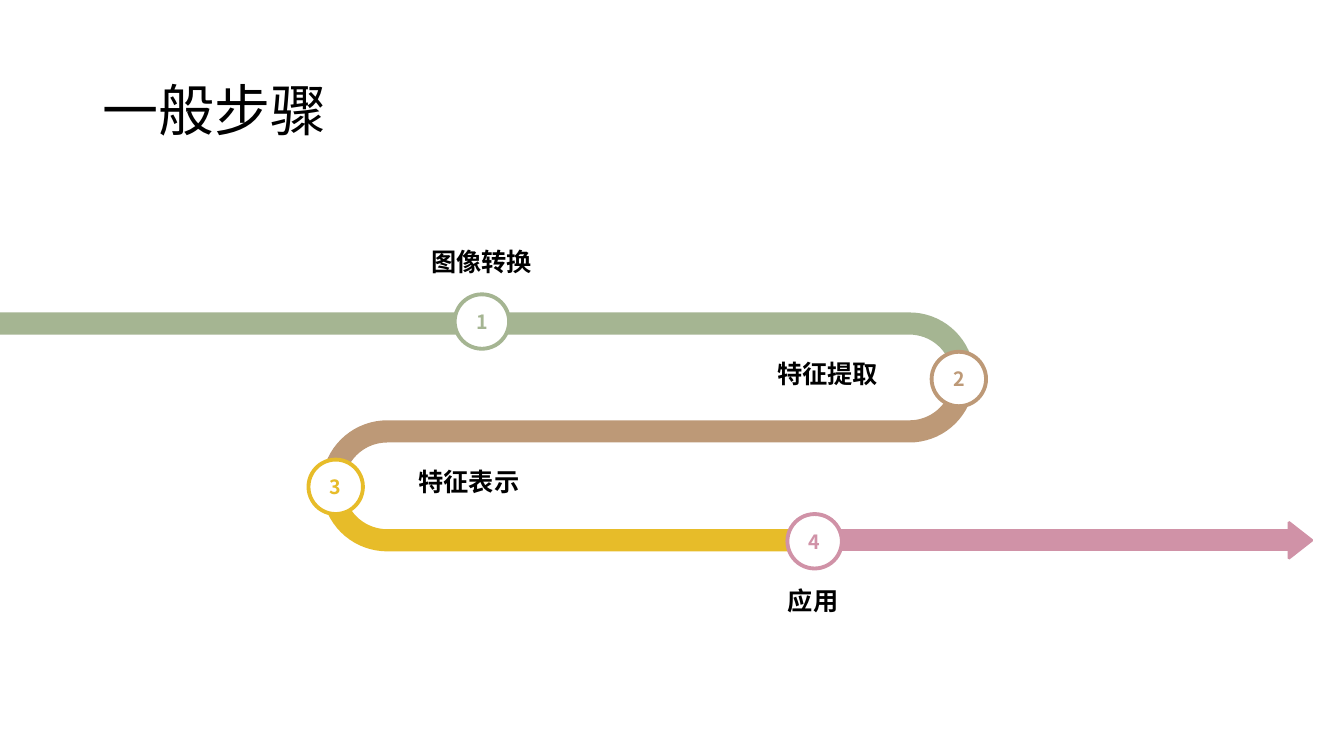
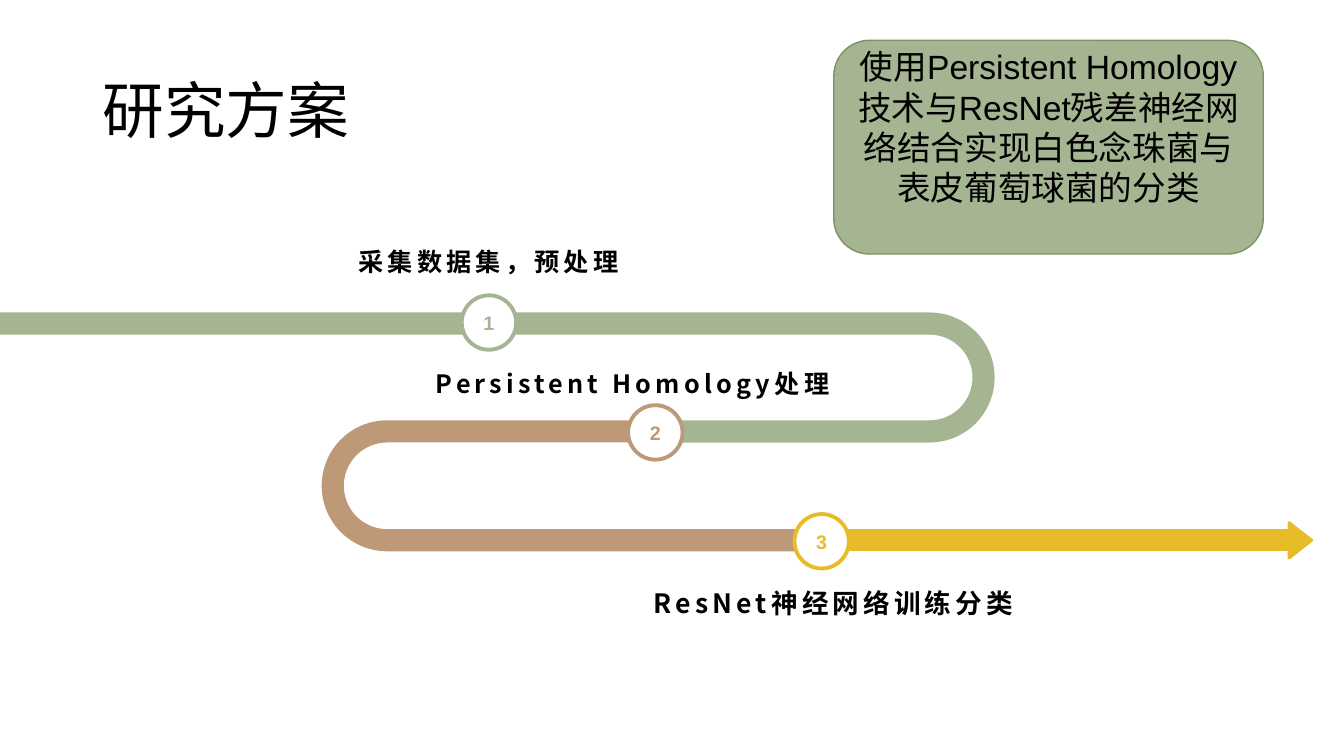
from dataclasses import dataclass
from math import cos, radians, sin

from pptx import Presentation
from pptx.dml.color import RGBColor
from pptx.enum.shapes import MSO_SHAPE
from pptx.enum.text import MSO_ANCHOR, PP_ALIGN
from pptx.util import Inches, Pt

ELLIPSE, ROUNDED = MSO_SHAPE.OVAL, MSO_SHAPE.ROUNDED_RECTANGLE
MIDDLE, BOTTOM = MSO_ANCHOR.MIDDLE, MSO_ANCHOR.BOTTOM
LEFT, CENTER = PP_ALIGN.LEFT, PP_ALIGN.CENTER

COLORS = {
    "black": "000000",
    "white": "FFFFFF",
    "green": "A5B592",
    "dark_green": "7D9263",
    "brown": "BD9977",
    "yellow": "E7BC29",
    "pink": "D092A7",
}
SANS, LATIN = "Noto Sans CJK SC", "Arial"

ROWS = (3.21, 4.28, 5.36)
HALF_BAND = 0.11
BEND_STEP = 5
LEFT_BEND = 3.84
BADGE_SIZE = 0.54
HEAD_LEFT, HEAD_TIP = 12.77, 13.02
HEAD_HALF = 0.19


@dataclass(frozen=True)
class Station:
    """A point on the middle of a band, with its heading in degrees (0 right, 90 down)."""
    x: float
    y: float
    heading: int = 0

    def offset(self, distance: float) -> tuple[float, float]:
        angle = radians(self.heading)
        return self.x + distance * sin(angle), self.y - distance * cos(angle)


@dataclass(frozen=True)
class Band:
    color: str
    stations: list[Station]


@dataclass(frozen=True)
class Badge:
    number: str
    color: str
    x: float
    y: float


@dataclass(frozen=True)
class Label:
    text: str
    area: tuple[float, float, float, float]
    anchor: MSO_ANCHOR = BOTTOM
    size: int = 18


def rgb(name: str) -> RGBColor:
    return RGBColor.from_string(COLORS[name])


def bend(x: float, row: int, start: int, end: int) -> list[Station]:
    """Stations of a turn around x, between a row and the next one."""
    turn = 1 if end > start else -1
    radius = (ROWS[row + 1] - ROWS[row]) / 2
    center = Station(x, ROWS[row] + radius)
    headings = range(start, end + turn, turn * BEND_STEP)
    return [Station(*Station(center.x, center.y, heading).offset(turn * radius), heading)
            for heading in headings]


def write(shape, text: str, *, size: int, font: str = SANS, color: str = "black",
          bold: bool = False, align: PP_ALIGN = CENTER, anchor: MSO_ANCHOR = MIDDLE,
          wrap: bool = True, tracking: int = 0, line_spacing: float | None = None,
          margin: float | None = None) -> None:
    frame = shape.text_frame
    frame.word_wrap = wrap
    frame.vertical_anchor = anchor
    if margin is not None:
        frame.margin_left = frame.margin_right = Inches(margin)
        frame.margin_top = frame.margin_bottom = Inches(margin)
    para = frame.paragraphs[0]
    para.alignment = align
    para.line_spacing = line_spacing
    span = para.add_run()
    span.text = text
    span.font.name = font
    span.font.size = Pt(size)
    span.font.bold = bold
    span.font.color.rgb = rgb(color)
    properties = span.font._element
    if tracking:
        properties.set("spc", str(tracking * 100))
    east_asian = properties.makeelement(
        properties.tag.replace("rPr", "ea"), {"typeface": SANS})
    properties.find(properties.tag.replace("rPr", "latin")).addnext(east_asian)


def add_text(page, area: tuple[float, float, float, float], text: str, **style) -> None:
    box = page.shapes.add_textbox(*map(Inches, area))
    write(box, text, **style)


def add_preset(page, kind: MSO_SHAPE, area: tuple[float, float, float, float],
               fill: str, line: str, width: float):
    shape = page.shapes.add_shape(kind, *map(Inches, area))
    shape.shadow.inherit = False
    shape.fill.solid()
    shape.fill.fore_color.rgb = rgb(fill)
    shape.line.color.rgb = rgb(line)
    shape.line.width = Pt(width)
    return shape


def add_outline(page, points: list[tuple[float, float]], color: str) -> None:
    first, *others = [(Inches(x), Inches(y)) for x, y in points]
    builder = page.shapes.build_freeform(*first)
    builder.add_line_segments(others, close=True)
    shape = builder.convert_to_shape()
    shape.shadow.inherit = False
    shape.fill.solid()
    shape.fill.fore_color.rgb = rgb(color)
    shape.line.fill.background()


def add_band(page, band: Band) -> None:
    near = [station.offset(HALF_BAND) for station in band.stations]
    far = [station.offset(-HALF_BAND) for station in reversed(band.stations)]
    add_outline(page, near + far, band.color)


def add_arrowhead(page, color: str) -> None:
    middle = ROWS[2]
    upper = [(HEAD_LEFT, middle - HEAD_HALF + 0.01),
             (HEAD_LEFT + 0.02, middle - HEAD_HALF),
             (HEAD_TIP, middle - 0.01)]
    lower = [(x, 2 * middle - y) for x, y in reversed(upper)]
    add_outline(page, upper + lower, color)


def add_badge(page, badge: Badge, font: str) -> None:
    area = (badge.x - BADGE_SIZE / 2, badge.y - BADGE_SIZE / 2, BADGE_SIZE, BADGE_SIZE)
    circle = add_preset(page, ELLIPSE, area, "white", badge.color, 2.75)
    write(circle, badge.number, size=14, font=font, color=badge.color, bold=True, wrap=False)


def add_roadmap(deck, title: str, bands: list[Band], badges: list[Badge],
                labels: list[Label], *, title_font: str, title_size: int,
                badge_font: str, tracking: int = 0):
    """Add a page with a winding road; its last band ends in the arrowhead."""
    page = deck.slides.add_slide(deck.slide_layouts[6])
    add_text(page, (0.92, 0.4, 11.5, 1.45), title, size=title_size, font=title_font,
             align=LEFT, line_spacing=0.9)
    for band in bands:
        add_band(page, band)
    add_arrowhead(page, bands[-1].color)
    for badge in badges:
        add_badge(page, badge, badge_font)
    for label in labels:
        add_text(page, label.area, label.text, size=label.size, bold=True,
                 anchor=label.anchor, tracking=tracking, margin=0)
    return page


def add_steps(deck) -> None:
    right_bend = 9.02
    bands = [
        Band("green", [Station(0, ROWS[0]), *bend(right_bend, 0, 0, 90)]),
        Band("brown", bend(right_bend, 0, 90, 180) + bend(LEFT_BEND, 1, 180, 90)),
        Band("yellow", [*bend(LEFT_BEND, 1, 90, 0), Station(7.94, ROWS[2])]),
        Band("pink", [Station(8.2, ROWS[2]), Station(12.8, ROWS[2])]),
    ]
    badges = [
        Badge("1", "green", 4.78, 3.19),
        Badge("2", "brown", 9.51, 3.76),
        Badge("3", "yellow", 3.33, 4.83),
        Badge("4", "pink", 8.08, 5.37),
    ]
    labels = [
        Label("图像转换", (3.28, 2.32, 2.99, 0.42)),
        Label("特征提取", (7.21, 3.41, 2, 0.58), MIDDLE),
        Label("特征表示", (3.65, 4.49, 2, 0.58), MIDDLE),
        Label("应用", (6.89, 5.66, 2.35, 0.45)),
    ]
    add_roadmap(deck, "一般步骤", bands, badges, labels,
                title_font=LATIN, title_size=40, badge_font=SANS)


def add_research_plan(deck) -> None:
    handover = Station(6.64, ROWS[1], 180)
    bands = [
        Band("green", [Station(0, ROWS[0]), *bend(9.22, 0, 0, 180), handover]),
        Band("brown", [handover, *bend(LEFT_BEND, 1, 180, 0), Station(7.94, ROWS[2])]),
        Band("yellow", [Station(8.2, ROWS[2]), Station(12.8, ROWS[2])]),
    ]
    badges = [
        Badge("1", "green", 4.85, 3.2),
        Badge("2", "brown", 6.5, 4.29),
        Badge("3", "yellow", 8.15, 5.37),
    ]
    labels = [
        Label("采集数据集，预处理", (3.35, 1.85, 2.99, 0.89)),
        Label("Persistent Homology处理", (4.14, 3.37, 4.27, 0.58)),
        Label("ResNet神经网络训练分类", (6.12, 5.69, 4.29, 0.45), size=19),
    ]
    page = add_roadmap(deck, "研究方案", bands, badges, labels, title_font=SANS,
                       title_size=44, badge_font=LATIN, tracking=3)
    summary = add_preset(page, ROUNDED, (8.27, 0.4, 4.26, 2.12), "green", "dark_green", 1)
    write(summary, "使用Persistent Homology技术与ResNet残差神经网络结合"
                   "实现白色念珠菌与表皮葡萄球菌的分类", size=24, font=LATIN)
    summary.text_frame.margin_bottom = Inches(0.45)


def main() -> None:
    deck = Presentation()
    deck.slide_width, deck.slide_height = Inches(13.33), Inches(7.5)
    add_steps(deck)
    add_research_plan(deck)
    deck.save("out.pptx")


if __name__ == "__main__":
    main()
